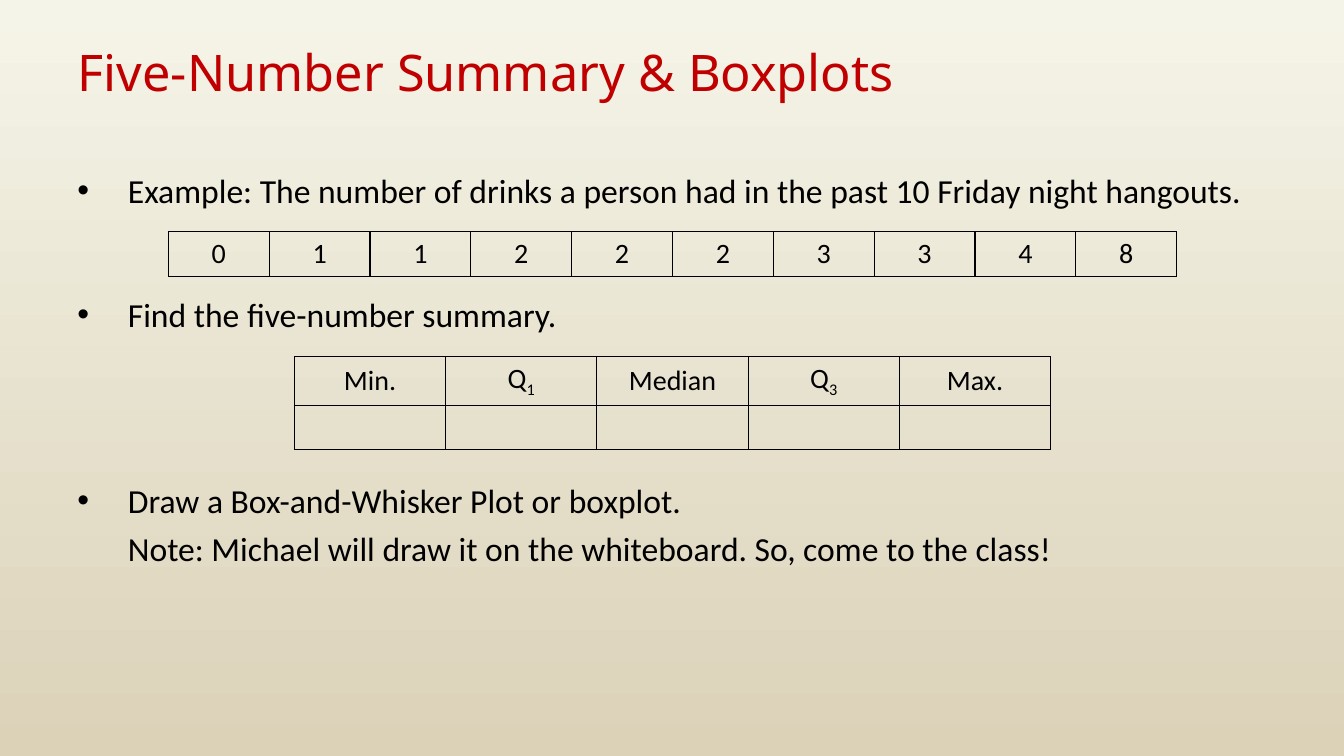
import pptx
import pptx.dml.color
import pptx.enum.text
import pptx.oxml
import pptx.oxml.ns
import pptx.util
from pptx.util import Inches

COLORS = {
    "title": "C00000",
    "text": "000000",
    "border": "000000",
    "background_top": "F5F4E8",
    "background_bottom": "DBD2B8",
}
BODY_FONT = "Calibri"
DRINKS = ["0", "1", "1", "2", "2", "2", "3", "3", "4", "8"]
SUMMARY_HEADINGS = ["Min.", "Q_1", "Median", "Q_3", "Max."]
BULLETS = [
    ("Example: The number of drinks a person had in the past 10 Friday night hangouts.", 0),
    ("Find the five-number summary.", 53.5),
    ("Draw a Box-and-Whisker Plot or boxplot.\v"
     "Note: Michael will draw it on the whiteboard. So, come to the class!", 98.5),
]


def color(name):
    return pptx.dml.color.RGBColor.from_string(COLORS[name])


def set_font(font, name, size, color_name):
    font.name = name
    font.size = pptx.util.Pt(size)
    font.color.rgb = color(color_name)


def paint_background(slide):
    fill = slide.background.fill
    fill.gradient()
    fill.gradient_angle = 270
    for stop, name in zip(fill.gradient_stops, ("background_top", "background_bottom")):
        stop.color.rgb = color(name)


def add_title(slide, text):
    title = slide.shapes.title
    title.left, title.top = Inches(0.67), Inches(0.43)
    title.width, title.height = Inches(12), Inches(1)
    title.text_frame.text = text
    title.text_frame.vertical_anchor = pptx.enum.text.MSO_ANCHOR.TOP
    paragraph = title.text_frame.paragraphs[0]
    paragraph.alignment = pptx.enum.text.PP_ALIGN.LEFT
    paragraph.line_spacing = 0.9
    set_font(paragraph.font, "Noto Sans", 36, "title")


def add_bullet_mark(paragraph):
    properties = paragraph._p.get_or_add_pPr()
    properties.set("marL", str(Inches(0.5)))
    properties.set("indent", str(Inches(-0.5)))
    namespace = pptx.oxml.ns.nsdecls("a")
    for xml in (f'<a:buFont {namespace} typeface="Arial"/>',
                f'<a:buChar {namespace} char="•"/>'):
        properties.append(pptx.oxml.parse_xml(xml))


def add_bullets(slide, bullets):
    box = slide.shapes.add_textbox(Inches(0.67), Inches(1.56), Inches(12), Inches(5.5))
    frame = box.text_frame
    frame.word_wrap = True
    for index, (text, space_before) in enumerate(bullets):
        paragraph = frame.add_paragraph() if index else frame.paragraphs[0]
        paragraph.text = text
        add_bullet_mark(paragraph)
        paragraph.line_spacing = 1.2
        paragraph.space_before = pptx.util.Pt(space_before)
        set_font(paragraph.font, BODY_FONT, 24, "text")


def add_borders(cell):
    properties = cell._tc.get_or_add_tcPr()
    for index, side in enumerate(("lnL", "lnR", "lnT", "lnB")):
        properties.insert(index, pptx.oxml.parse_xml(
            f'<a:{side} {pptx.oxml.ns.nsdecls("a")} w="{pptx.util.Pt(1)}">'
            f'<a:solidFill><a:srgbClr val="{COLORS["border"]}"/></a:solidFill></a:{side}>'))


def fill_cell(cell, text):
    cell.fill.background()
    add_borders(cell)
    cell.vertical_anchor = pptx.enum.text.MSO_ANCHOR.MIDDLE
    paragraph = cell.text_frame.paragraphs[0]
    paragraph.alignment = pptx.enum.text.PP_ALIGN.CENTER
    set_font(paragraph.font, BODY_FONT, 20, "text")
    base, _, subscript = text.partition("_")
    if base:
        paragraph.add_run().text = base
    if subscript:
        run = paragraph.add_run()
        run.text = subscript
        run.font._element.set("baseline", "-25000")


def add_grid(slide, rows, left, top, column_width, row_heights):
    columns = len(rows[0])
    table = slide.shapes.add_table(
        len(rows), columns, Inches(left), Inches(top),
        Inches(column_width * columns), Inches(sum(row_heights))).table
    table.first_row = False
    table.horz_banding = False
    for column in table.columns:
        column.width = Inches(column_width)
    for row, height, texts in zip(table.rows, row_heights, rows):
        row.height = Inches(height)
        for cell, text in zip(row.cells, texts):
            fill_cell(cell, text)


def main():
    presentation = pptx.Presentation()
    presentation.slide_width = Inches(13.33)
    presentation.slide_height = Inches(7.5)
    slide = presentation.slides.add_slide(presentation.slide_layouts[5])
    paint_background(slide)
    add_title(slide, "Five-Number Summary & Boxplots")
    add_bullets(slide, BULLETS)
    add_grid(slide, [DRINKS], 1.67, 2.3, 1, [0.44])
    empty_row = [""] * len(SUMMARY_HEADINGS)
    add_grid(slide, [SUMMARY_HEADINGS, empty_row], 2.92, 3.54, 1.5, [0.48, 0.44])
    presentation.save("out.pptx")


if __name__ == "__main__":
    main()
